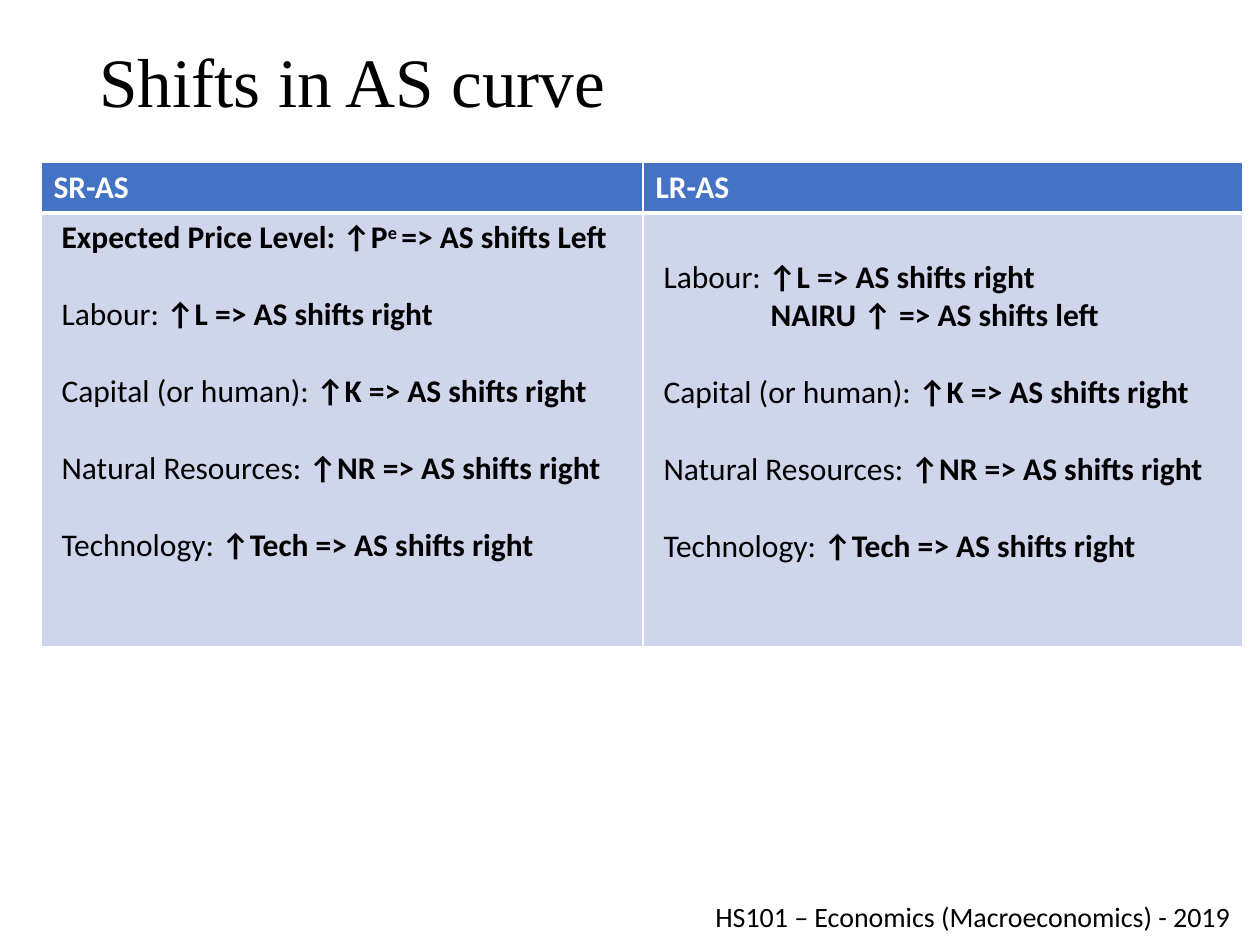
from dataclasses import dataclass

from lxml import etree
from pptx import Presentation
from pptx import util as u
from pptx.dml.color import RGBColor
from pptx.enum import text
from pptx.oxml.ns import qn

PX = u.Inches(1) / 126


def px(length):
    return u.Emu(round(length * PX))


@dataclass(frozen=True)
class Theme:
    ink: str = "000000"
    white: str = "FFFFFF"
    header: str = "4472C4"
    body: str = "CFD5EA"
    title_font: str = "Times New Roman"
    body_font: str = "Calibri"
    title_size: float = 39.6
    table_size: int = 18
    footer_size: int = 16
    line_gap: int = 22


@dataclass(frozen=True)
class Line:
    """One cell line: a plain label, a bold effect, and an optional superscript with its tail."""
    label: str
    effect: str
    superscript: str = ""
    tail: str = ""
    indent: int = 8
    spaced: bool = True


LABOUR = Line("Labour: ", "↑L => AS shifts right")
SHARED = [
    Line("Capital (or human): ", "↑K => AS shifts right"),
    Line("Natural Resources: ", "↑NR => AS shifts right"),
    Line("Technology: ", "↑Tech => AS shifts right"),
]
EXPECTED_PRICE = Line("", "Expected Price Level: ↑P", "e ", "=> AS shifts Left", spaced=False)
NAIRU = Line("", "NAIRU ↑ => AS shifts left", indent=115, spaced=False)

SHORT_RUN = [EXPECTED_PRICE, LABOUR, *SHARED]
LONG_RUN = [Line(LABOUR.label, LABOUR.effect, spaced=False), NAIRU, *SHARED]


class SlideBuilder:
    def __init__(self, slide, theme):
        self.slide = slide
        self.theme = theme

    def style(self, run, size, color, font=None, bold=False):
        run.font.name = font or self.theme.body_font
        run.font.size = u.Pt(size)
        run.font.bold = bold
        run.font.color.rgb = RGBColor.from_string(color)

    def label(self, words, box, size, font, anchor, spacing=1.0):
        frame = self.slide.shapes.add_textbox(*map(px, box)).text_frame
        frame.word_wrap = True
        frame.vertical_anchor = anchor
        frame.text = words
        paragraph = frame.paragraphs[0]
        paragraph.line_spacing = spacing
        self.style(paragraph.runs[0], size, self.theme.ink, font)

    def table(self, box, widths, heights):
        table = self.slide.shapes.add_table(len(heights), len(widths), *map(px, box)).table
        for column, width in zip(table.columns, widths):
            column.width = px(width)
        for row, height in zip(table.rows, heights):
            row.height = px(height)
        return table

    def paint(self, cell, fill, top=1, bottom=1):
        """Give a cell its white borders, in points, and its fill."""
        properties = cell._tc.get_or_add_tcPr()
        for side, width in (("L", 1), ("R", 1), ("T", top), ("B", bottom)):
            border = etree.SubElement(properties, qn(f"a:ln{side}"), w=str(u.Pt(width)))
            solid = etree.SubElement(border, qn("a:solidFill"))
            etree.SubElement(solid, qn("a:srgbClr"), val=self.theme.white)
        cell.fill.solid()
        cell.fill.fore_color.rgb = RGBColor.from_string(fill)

    def header_cell(self, cell, words):
        self.paint(cell, self.theme.header, bottom=3)
        cell.text_frame.text = words
        run = cell.text_frame.paragraphs[0].runs[0]
        self.style(run, self.theme.table_size, self.theme.white, bold=True)

    def body_cell(self, cell, lines, margin_top):
        self.paint(cell, self.theme.body, top=3)
        cell.margin_top = px(margin_top)
        frame = cell.text_frame
        for index, line in enumerate(lines):
            paragraph = frame.add_paragraph() if index else frame.paragraphs[0]
            paragraph._p.get_or_add_pPr().set("marL", str(px(line.indent)))
            paragraph.space_before = u.Pt(self.theme.line_gap if line.spaced else 0)
            for part in ("label", "effect", "superscript", "tail"):
                words = getattr(line, part)
                if not words:
                    continue
                run = paragraph.add_run()
                run.text = words
                self.style(run, self.theme.table_size, self.theme.ink, bold=part != "label")
                if part == "superscript":
                    run.font._element.set("baseline", "30000")


def main():
    deck = Presentation()
    deck.slide_width, deck.slide_height = px(1260), px(945)
    theme = Theme()
    builder = SlideBuilder(deck.slides.add_slide(deck.slide_layouts[6]), theme)

    builder.label("Shifts in AS curve", (87, 44, 1086, 82), theme.title_size,
                  theme.title_font, text.MSO_ANCHOR.MIDDLE, 0.9)

    curves = builder.table((41, 162, 1202, 485), (602, 600), (51, 434))
    columns = [("SR-AS", SHORT_RUN, 6), ("LR-AS", LONG_RUN, 45)]
    for index, (heading, lines, margin_top) in enumerate(columns):
        builder.header_cell(curves.cell(0, index), heading)
        builder.body_cell(curves.cell(1, index), lines, margin_top)

    builder.label("HS101 – Economics (Macroeconomics) - 2019", (703, 893, 554, 52),
                  theme.footer_size, theme.body_font, text.MSO_ANCHOR.TOP)
    deck.save("out.pptx")


if __name__ == "__main__":
    main()
